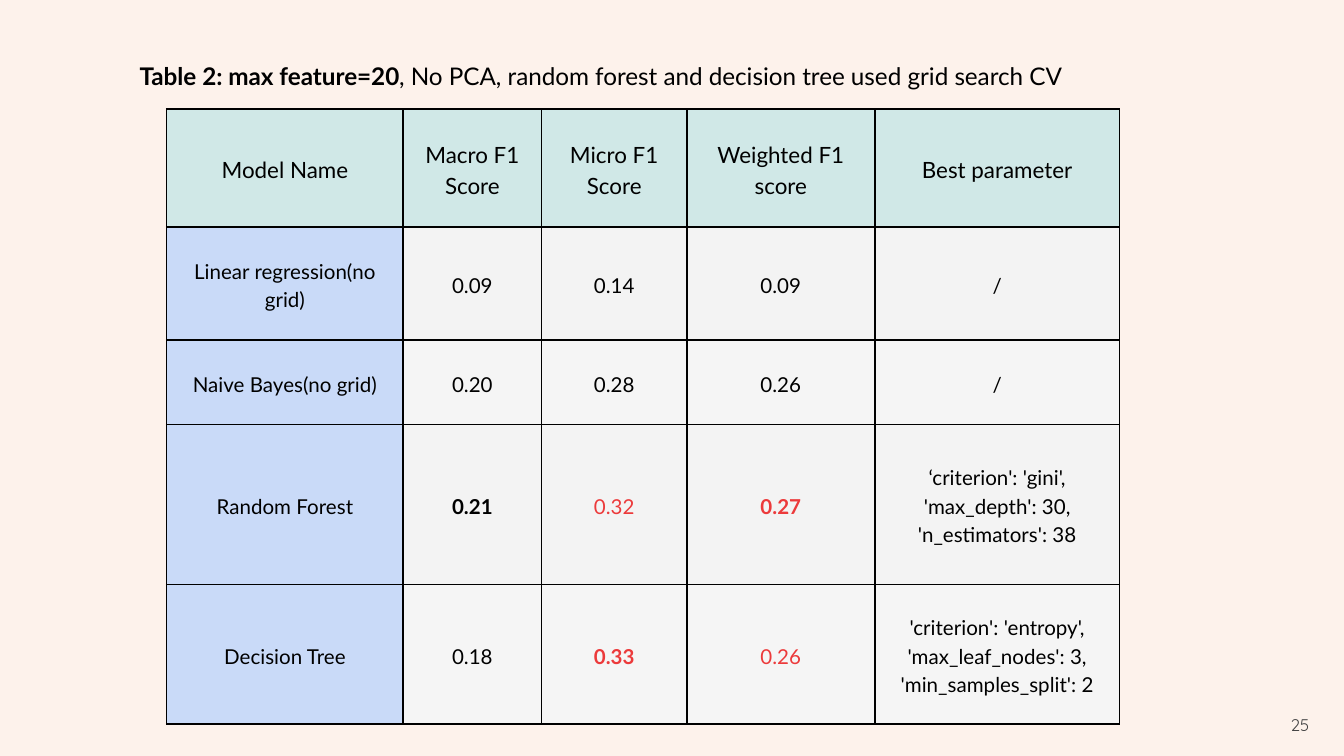
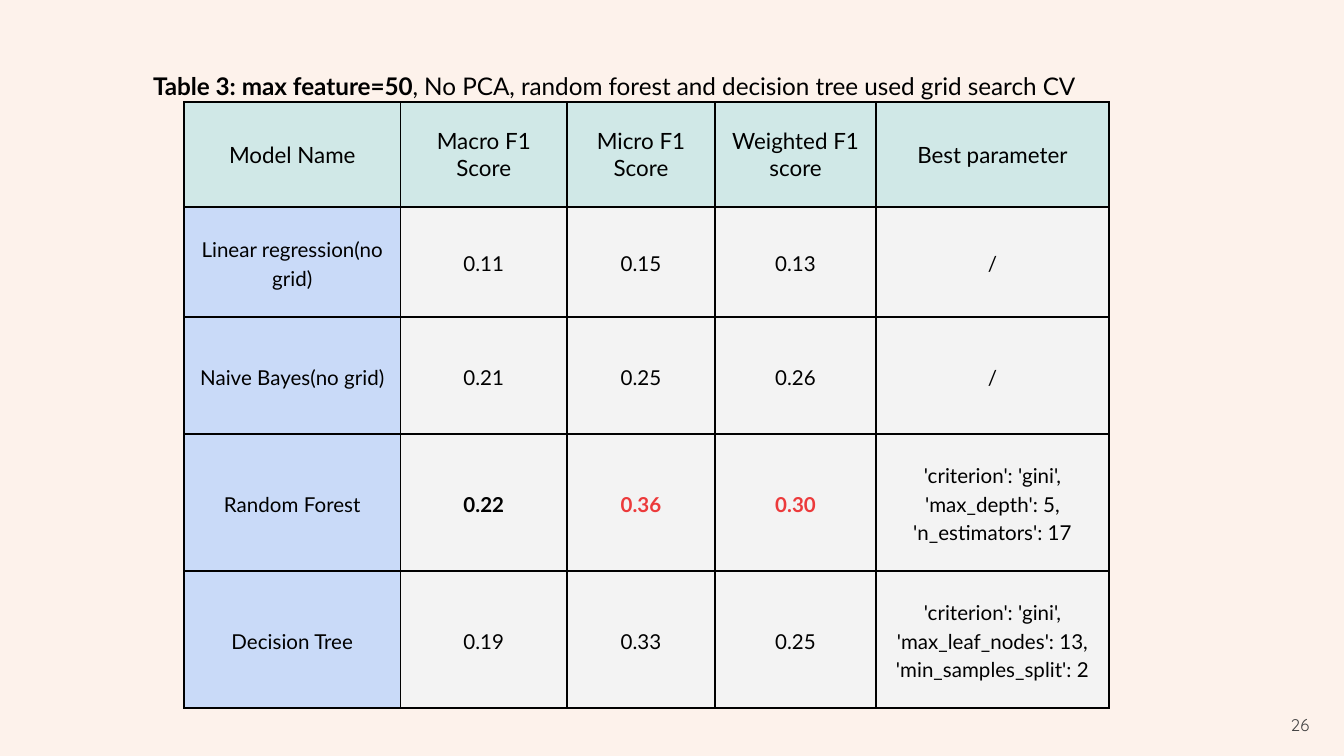
from pptx import Presentation
from pptx import util as u
from pptx.dml.color import RGBColor
from pptx.enum import text
from lxml import etree

BACKGROUND, INK, PAGE_INK, RED = "FDF2EB", "000000", "424242", "EC3A3B"
HEADER_FILL, MODEL_FILL, LIGHT, LIGHTER = "D0E8E7", "C9DAF8", "F3F3F3", "F5F5F5"
DRAWING = "http://schemas.openxmlformats.org/drawingml/2006/main"
CAPTION_TAIL = ", No PCA, random forest and decision tree used grid search CV"
HEADINGS = ["Model Name", "Macro F1 Score", "Micro F1 Score", "Weighted F1 score", "Best parameter"]
MODELS = ["Linear regression(no grid)", "Naive Bayes(no grid)", "Random Forest", "Decision Tree"]

# Results per slide; highlights map (row, column) to (colour, bold)
results = [
    {
        "page": "25", "caption": "Table 2: max feature=20",
        "caption_box": (0.94, 0.17, 8.62, 1), "caption_inset": 0.25,
        "corner": (1.24, 0.81), "heading_spacing": 1.15,
        "columns": [1.76, 1.03, 1.08, 1.4, 1.82],
        "rows": [0.88, 0.84, 0.63, 1.19, 1.04],
        "bands": [LIGHT, LIGHTER],
        "scores": [
            ["0.09", "0.14", "0.09", "/"],
            ["0.20", "0.28", "0.26", "/"],
            ["0.21", "0.32", "0.27", "‘criterion': 'gini', 'max_depth': 30, 'n_estimators': 38"],
            ["0.18", "0.33", "0.26", "'criterion': 'entropy', 'max_leaf_nodes': 3, 'min_samples_split': 2"],
        ],
        "highlights": {(3, 1): (INK, True), (3, 2): (RED, False), (3, 3): (RED, True),
                       (4, 2): (RED, True), (4, 3): (RED, False)},
    },
    {
        "page": "26", "caption": "Table 3: max feature=50",
        "caption_box": (1.04, 0.22, 8.11, 1), "caption_inset": 0.28,
        "corner": (1.37, 0.76), "heading_spacing": 1.0,
        "columns": [1.61, 1.24, 1.1, 1.2, 1.73],
        "rows": [0.78, 0.82, 0.87, 1.02, 1.02],
        "bands": [LIGHT, LIGHT],
        "scores": [
            ["0.11", "0.15", "0.13", "/"],
            ["0.21", "0.25", "0.26", "/"],
            ["0.22", "0.36", "0.30", "'criterion': 'gini', 'max_depth': 5, 'n_estimators': 17"],
            ["0.19", "0.33", "0.25", "'criterion': 'gini', 'max_leaf_nodes': 13, 'min_samples_split': 2"],
        ],
        "highlights": {(3, 1): (INK, True), (3, 2): (RED, True), (3, 3): (RED, True)},
    },
]


def color(value):
    return RGBColor.from_string(value)


def add_run(paragraph, words, size, ink=INK, bold=False, face="Lato"):
    run = paragraph.add_run()
    run.text = words
    run.font.name, run.font.size, run.font.bold = face, u.Pt(size), bold
    run.font.color.rgb = color(ink)


# Widescreen deck, 16:9
deck = Presentation()
deck.slide_width, deck.slide_height = u.Inches(10), u.Inches(10 * 9 / 16)

for result in results:
    slide = deck.slides.add_slide(deck.slide_layouts[6])
    slide.background.fill.solid()
    slide.background.fill.fore_color.rgb = color(BACKGROUND)

    # Caption
    caption = slide.shapes.add_textbox(*map(u.Inches, result["caption_box"])).text_frame
    caption.word_wrap = True
    caption.vertical_anchor = text.MSO_ANCHOR.TOP
    caption.margin_top = u.Inches(result["caption_inset"])
    caption_line = caption.paragraphs[0]
    caption_line.line_spacing = 1.15
    add_run(caption_line, result["caption"], 13, bold=True)
    add_run(caption_line, CAPTION_TAIL, 13)

    # Score table
    widths, heights = result["columns"], result["rows"]
    extent = (*result["corner"], sum(widths), sum(heights))
    scores = slide.shapes.add_table(len(heights), len(widths), *map(u.Inches, extent)).table
    for column, width in zip(scores.columns, widths):
        column.width = u.Inches(width)
    for row, height in zip(scores.rows, heights):
        row.height = u.Inches(height)

    entries = [HEADINGS] + [[model, *values] for model, values in zip(MODELS, result["scores"])]
    for r, entry in enumerate(entries):
        for c, words in enumerate(entry):
            cell = scores.cell(r, c)
            cell.vertical_anchor = text.MSO_ANCHOR.MIDDLE
            cell.margin_left = cell.margin_right = u.Inches(0.06)
            cell.margin_top = cell.margin_bottom = u.Inches(0.06)

            # Cell borders
            properties = cell._tc.get_or_add_tcPr()
            for side in ("lnL", "lnR", "lnT", "lnB"):
                border = etree.SubElement(properties, f"{{{DRAWING}}}{side}", w=str(u.Pt(1)))
                paint = etree.SubElement(border, f"{{{DRAWING}}}solidFill")
                etree.SubElement(paint, f"{{{DRAWING}}}srgbClr", val=INK)

            # Cell fill and words
            if r == 0:
                fill = HEADER_FILL
            elif c == 0:
                fill = MODEL_FILL
            else:
                fill = result["bands"][(r - 1) % 2]
            cell.fill.solid()
            cell.fill.fore_color.rgb = color(fill)
            line = cell.text_frame.paragraphs[0]
            line.alignment = text.PP_ALIGN.CENTER
            line.line_spacing = 1.15 if r else result["heading_spacing"]
            ink, bold = result["highlights"].get((r, c), (INK, False))
            add_run(line, words, 11 if r else 12, ink, bold)

    # Page number
    page = slide.shapes.add_textbox(*map(u.Inches, (9.24, 5.18, 0.6, 0.43))).text_frame
    page.word_wrap = True
    page.vertical_anchor = text.MSO_ANCHOR.MIDDLE
    page.margin_left = page.margin_right = u.Inches(0.1)
    page.margin_top = page.margin_bottom = u.Inches(0.1)
    page.paragraphs[0].alignment = text.PP_ALIGN.RIGHT
    add_run(page.paragraphs[0], result["page"], 9, PAGE_INK, face="Quicksand")

deck.save("out.pptx")
